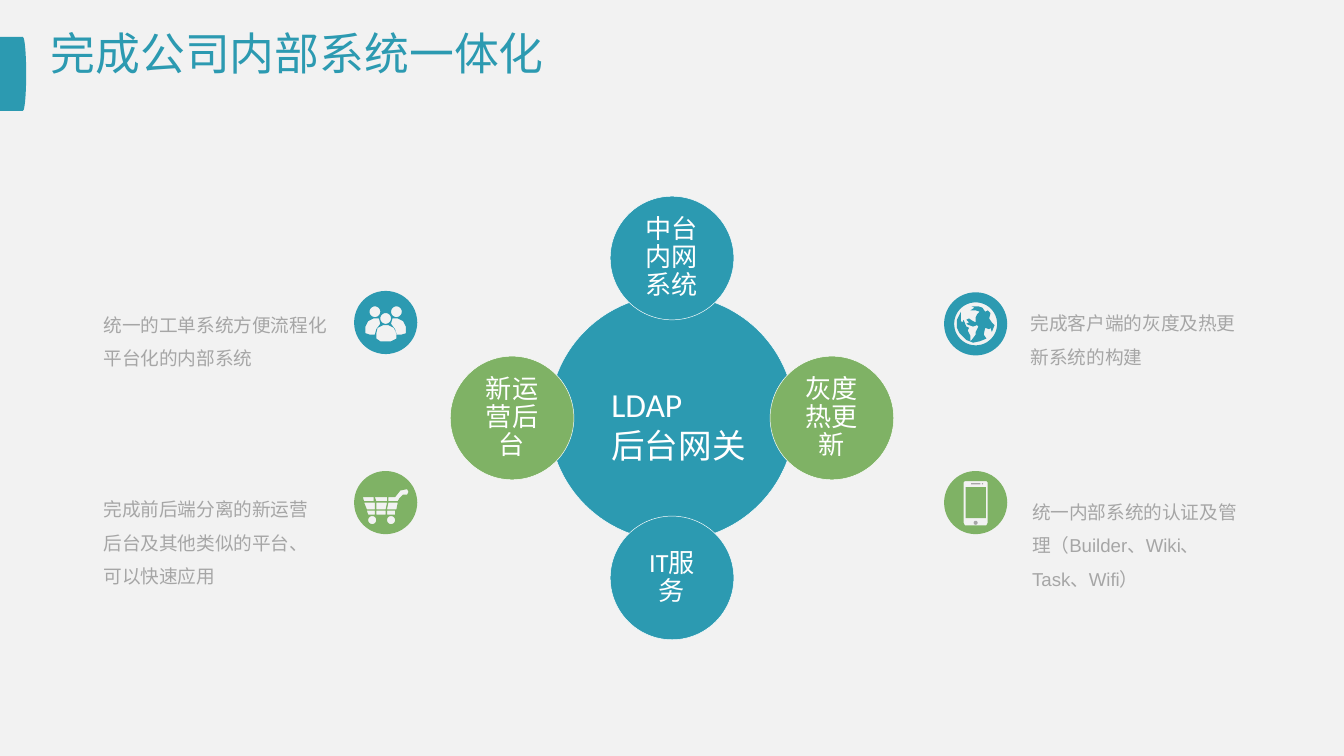
from math import cos, pi, sin

from pptx import Presentation
from pptx.dml.color import RGBColor
from pptx.enum.shapes import MSO_SHAPE
from pptx.enum.text import MSO_ANCHOR, PP_ALIGN
from pptx.util import Inches, Pt

OVAL, RECT = MSO_SHAPE.OVAL, MSO_SHAPE.RECTANGLE
TOP, MIDDLE = MSO_ANCHOR.TOP, MSO_ANCHOR.MIDDLE
LEFT, CENTER = PP_ALIGN.LEFT, PP_ALIGN.CENTER

TEAL = RGBColor(0x2C, 0x9A, 0xB1)
GREEN = RGBColor(0x7F, 0xB2, 0x65)
GRAY = RGBColor(0xA6, 0xA6, 0xA6)
PALE = RGBColor(0xF2, 0xF2, 0xF2)
WHITE = RGBColor(0xFF, 0xFF, 0xFF)

# Content
TITLE = "完成公司内部系统一体化"
HUB_LINES = ["LDAP", "后台网关"]
# text, colour, direction from the hub
SATELLITES = [
    ("中台内网系统", TEAL, (0, -1)),
    ("灰度热更新", GREEN, (1, 0)),
    ("IT服务", TEAL, (0, 1)),
    ("新运营后台", GREEN, (-1, 0)),
]
# icon, disc colour, disc centre, paragraphs, text box
NOTES = [
    ("globe", TEAL, (7.26, 2.41), ["完成客户端的灰度及热更新系统的构建"],
     (7.6, 2.2, 1.76, 0.57)),
    ("phone", GREEN, (7.26, 3.74), ["统一内部系统的认证及管理（Builder、Wiki、Task、Wifi）"],
     (7.61, 3.6, 1.76, 0.83)),
    ("people", TEAL, (2.87, 2.4), ["统一的工单系统方便流程化", "平台化的内部系统"],
     (0.7, 2.21, 1.83, 0.57)),
    ("cart", GREEN, (2.87, 3.74), ["完成前后端分离的新运营后台及其他类似的平台、可以快速应用"],
     (0.7, 3.58, 1.76, 0.83)),
]


def ring(x, y, radius, steps=48):
    angles = [2 * pi * step / steps for step in range(steps)]
    return [(x + radius * cos(a), y + radius * sin(a)) for a in angles]


def mirror(points):
    return [(-x, y) for x, y in points]


# Icon outlines, as offsets from the disc centre
DISC = ring(0, 0, 0.235)
GLOBE_SEA = [
    (.12, -.01), (.10, -.04), (.11, -.08), (.09, -.10), (.07, -.09), (.05, -.12),
    (.02, -.13), (-.03, -.13), (-.01, -.12), (-.04, -.10), (0, -.10), (.03, -.09),
    (.01, -.07), (0, -.05), (0, -.01), (-.02, -.02), (-.05, -.04), (-.07, -.03),
    (-.05, -.01), (-.07, 0), (-.05, .01), (-.02, .02), (.01, .01), (.02, .02),
    (0, .06), (0, .08), (-.03, .12), (-.04, .13), (-.04, .09), (-.06, .05),
    (-.05, .03), (-.07, .02), (-.09, -.03), (-.10, -.01), (-.11, -.02), (-.11, -.09),
    (-.14, -.03), (-.14, .03), (-.12, .07), (-.07, .12), (-.02, .14), (.03, .13),
    (.08, .11), (.06, .08), (.07, .03), (.10, .04), (.11, .03), (.12, .06), (.14, .01),
]
SIDE_BODY = [(-.15, .08), (-.15, .03), (-.13, -.01), (-.09, -.03), (-.05, -.03),
             (-.04, .01), (-.07, .05), (-.08, .09), (-.12, .09)]
FRONT_BODY = [(-.07, .12), (-.07, .08), (-.06, .04), (-.02, .02), (.02, .02),
              (.06, .04), (.08, .08), (.08, .12), (.04, .14), (-.04, .14)]
# What is cut out of each disc
HOLES = {
    "globe": [ring(0, 0, 0.16)],
    "phone": [[(-.08, -.16), (.08, -.16), (.09, -.15), (.09, .15),
               (.08, .17), (-.08, .17), (-.09, .15), (-.09, -.15)]],
    "people": [ring(-.08, -.08, .04), ring(.08, -.08, .04), ring(0, -.03, .04),
               SIDE_BODY, mirror(SIDE_BODY), FRONT_BODY],
    "cart": [
        [(-.17, -.04), (-.09, -.04), (-.09, -.01), (-.16, -.01)],
        [(-.16, 0), (-.08, 0), (-.08, .05), (-.14, .05)],
        [(-.14, .06), (-.08, .06), (-.08, .09), (-.13, .09)],
        [(-.08, -.04), (.01, -.04), (.01, -.01), (-.07, -.01)],
        [(-.07, 0), (.01, 0), (0, .05), (-.07, .05)],
        [(-.07, .06), (0, .06), (0, .09), (-.07, .09)],
        [(.02, -.04), (.07, -.04), (.11, -.09), (.16, -.10), (.17, -.08),
         (.16, -.06), (.13, -.06), (.10, -.03), (.09, -.01), (.02, -.01)],
        [(.02, 0), (.09, 0), (.08, .05), (.01, .05)],
        [(.01, .06), (.07, .06), (.07, .09), (.01, .09)],
        ring(-.1, .13, .03), ring(.04, .13, .03),
    ],
}
# kind, offset, width, height, colour (None for the disc colour)
PHONE_PARTS = [
    (OVAL, (0, 0.15), 0.03, 0.03, GRAY),
    (RECT, (0, -0.14), 0.07, 0.01, GRAY),
    (OVAL, (0.05, -0.14), 0.01, 0.01, GRAY),
    (RECT, (0, 0), 0.15, 0.23, None),
]

prs = Presentation()
prs.slide_width = Inches(10)
prs.slide_height = prs.slide_width * 9 // 16
slide = prs.slides.add_slide(prs.slide_layouts[6])
slide.background.fill.solid()
slide.background.fill.fore_color.rgb = PALE


def paint(shape, fill, outline=None):
    shape.shadow.inherit = False
    shape.fill.solid()
    shape.fill.fore_color.rgb = fill
    if outline is None:
        shape.line.fill.background()
    else:
        shape.line.color.rgb = outline
        shape.line.width = Pt(0.25)
    return shape


def add_part(kind, center, width, height, fill, outline=None):
    x, y = center
    box = map(Inches, (x - width / 2, y - height / 2, width, height))
    return paint(slide.shapes.add_shape(kind, *box), fill, outline)


def add_outline(center, contours, fill):
    x, y = center
    placed = [[(Inches(x + dx), Inches(y + dy)) for dx, dy in contour]
              for contour in contours]
    builder = slide.shapes.build_freeform(*placed[0][0], scale=1.0)
    builder.add_line_segments(placed[0][1:], close=True)
    for hole in placed[1:]:
        builder.move_to(*hole[0])
        builder.add_line_segments(hole[1:], close=True)
    paint(builder.convert_to_shape(), fill)


def write(shape, lines, size, font, color, insets=(0.1, 0.05),
          anchor=TOP, align=LEFT, spacing=None):
    frame = shape.text_frame
    frame.word_wrap = True
    frame.vertical_anchor = anchor
    frame.margin_left = frame.margin_right = Inches(insets[0])
    frame.margin_top = frame.margin_bottom = Inches(insets[1])
    frame.text = "\n".join(lines)
    for paragraph in frame.paragraphs:
        paragraph.alignment = align
        paragraph.line_spacing = spacing
        paragraph.font.size = Pt(size)
        paragraph.font.name = font
        paragraph.font.color.rgb = color


def add_text(box, lines, size, font, color, **layout):
    write(slide.shapes.add_textbox(*map(Inches, box)), lines, size, font, color, **layout)


def draw_icon(icon, center, color):
    add_outline(center, [DISC] + HOLES[icon], color)
    if icon == "globe":
        add_outline(center, [GLOBE_SEA], color)
    elif icon == "phone":
        for kind, (dx, dy), width, height, fill in PHONE_PARTS:
            add_part(kind, (center[0] + dx, center[1] + dy), width, height, fill or color)


# Title and side tab
add_part(RECT, (0.17 / 2, 0.55), 0.17, 0.55, TEAL)
add_part(OVAL, (0.17, 0.55), 0.05, 0.55, TEAL)
add_text((0.28, 0.09, 9, 0.6), [TITLE], 24, "Noto Sans CJK SC", TEAL, anchor=MIDDLE)

# Notes with icons
for icon, color, center, paragraphs, box in NOTES:
    draw_icon(icon, center, color)
    add_text(box, paragraphs, 10, "Arial", GRAY, insets=(0.07, 0.04), spacing=1.5)

# Hub with its satellites
HUB, ORBIT = (5, 3.11), 1.19
add_part(OVAL, HUB, 1.83, 1.83, TEAL, WHITE)
for text, color, (dx, dy) in SATELLITES:
    center = HUB[0] + dx * ORBIT, HUB[1] + dy * ORBIT
    satellite = add_part(OVAL, center, 0.92, 0.92, color, WHITE)
    # The oval's own text area is already inset by about 0.13
    write(satellite, [text], 14, "Calibri", WHITE, insets=(0.11, 0.11),
          anchor=MIDDLE, align=CENTER, spacing=0.9)
add_text((4.45, 2.81, 1.27, 0.71), HUB_LINES, 18, "Calibri", WHITE)

prs.save("out.pptx")
